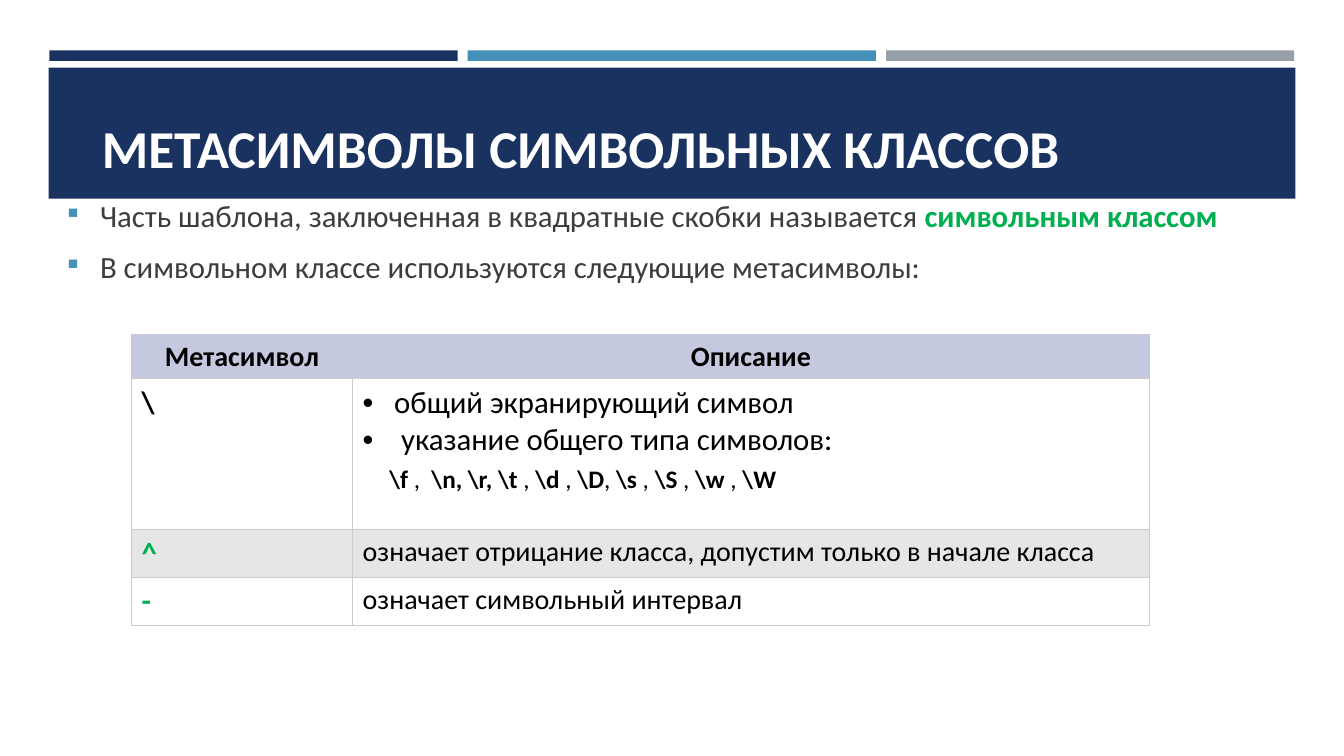
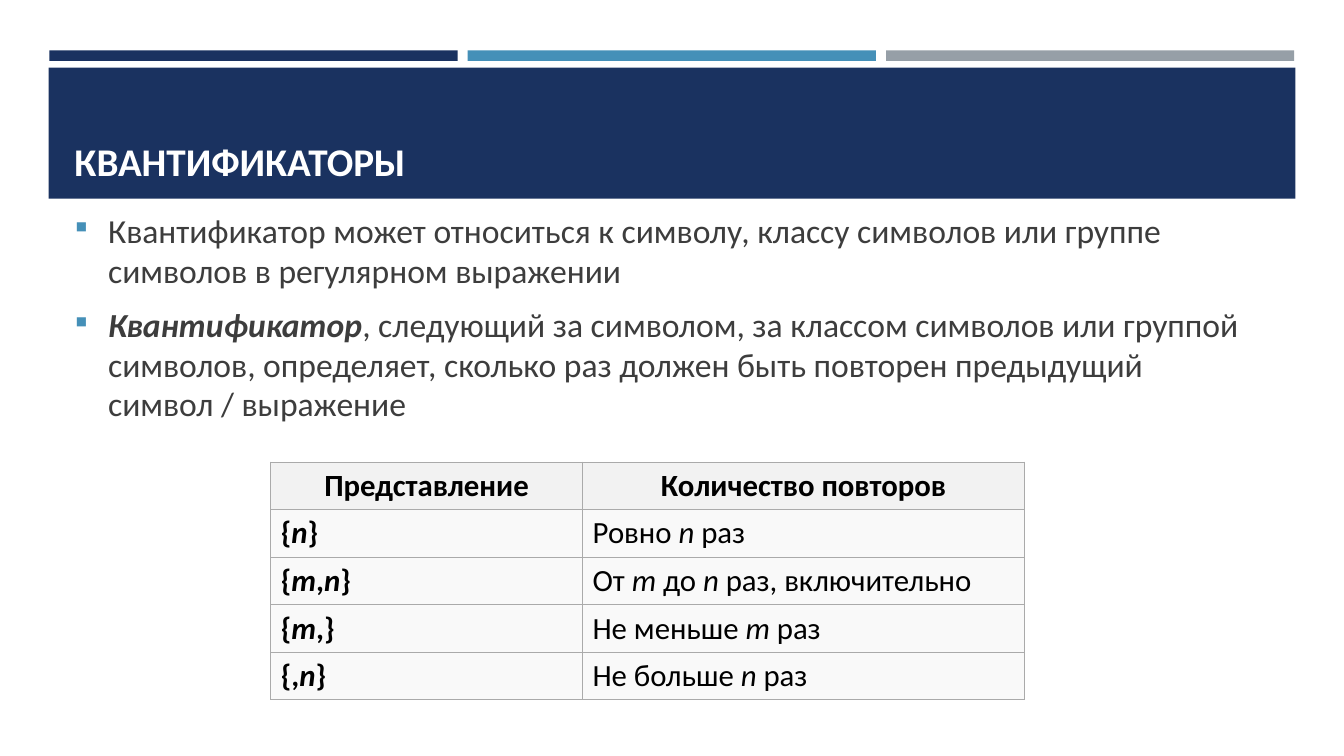
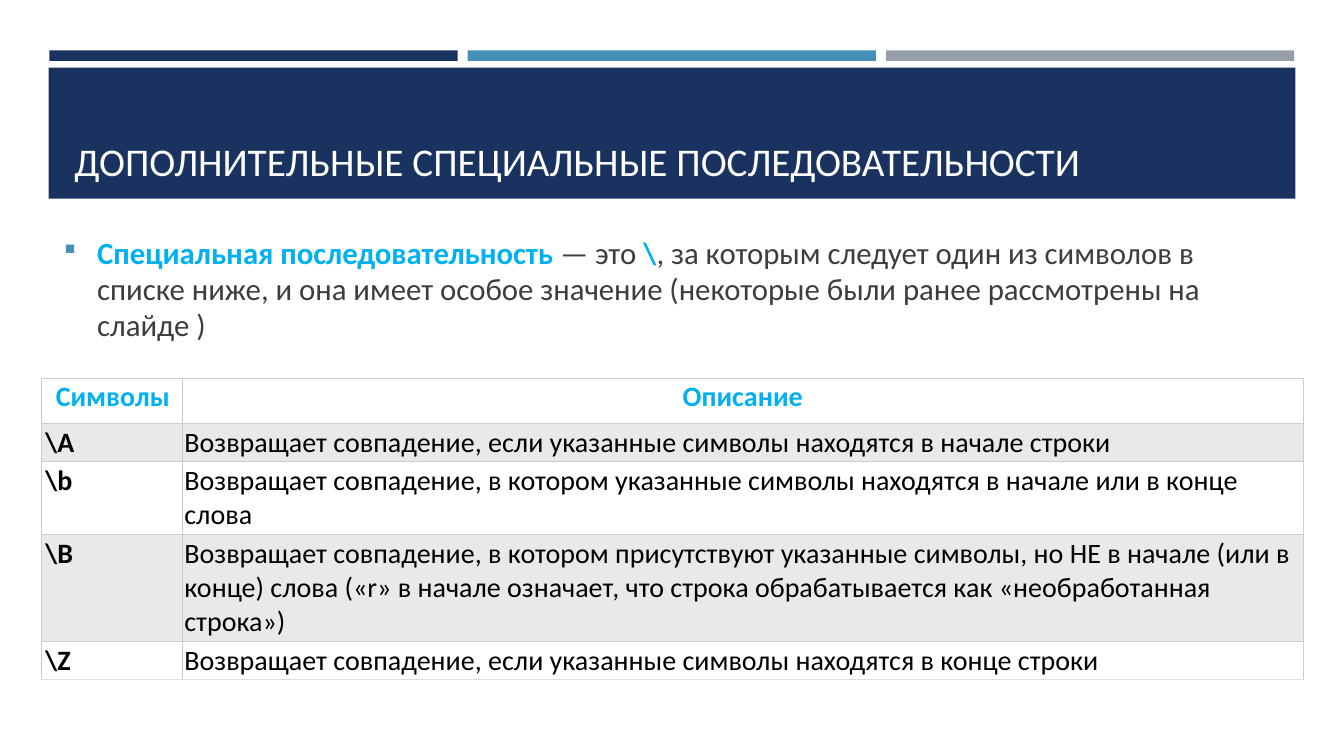
from lxml import etree
from pptx import Presentation
from pptx.dml.color import RGBColor
from pptx.enum import shapes, text
from pptx.oxml import ns
from pptx.util import Pt

NAVY, BLUE, GRAY = "1A3260", "4590B8", "969FA7"
BLACK, WHITE, INK = "000000", "FFFFFF", "3D3D3D"
GREEN, CYAN = "00B050", "00B0F0"
SQUARE, DOT = ("Wingdings", "§", 24, 92, BLUE), ("Arial", "•", 22.5, 100, BLACK)


def rgb(c):
    return RGBColor.from_string(c)


def write(p, t, accent={}, bullet=None, **fmt):
    for n, part in enumerate(t.split("|")):
        if not part:
            continue
        f = {**fmt, **accent} if n % 2 else fmt
        r = p.add_run()
        r.text = part
        r.font.name = "Calibri"
        r.font.size = Pt(f["size"])
        r.font.color.rgb = rgb(f.get("color", BLACK))
        r.font.bold = f.get("bold", False)
        r.font.italic = f.get("italic", False)
    if bullet:
        face, char, indent, scale, color = bullet
        pPr = p._p.get_or_add_pPr()
        pPr.set("marL", str(Pt(indent)))
        pPr.set("indent", str(-Pt(indent)))
        clr = etree.SubElement(pPr, ns.qn("a:buClr"))
        etree.SubElement(clr, ns.qn("a:srgbClr"), val=color)
        etree.SubElement(pPr, ns.qn("a:buSzPct"), val=str(scale * 1000))
        etree.SubElement(pPr, ns.qn("a:buFont"), typeface=face)
        etree.SubElement(pPr, ns.qn("a:buChar"), char=char)


pages = [
    dict(
        title="МЕТАСИМВОЛЫ СИМВОЛЬНЫХ КЛАССОВ", title_size=38, title_bold=True,
        title_at=(65.5, 59, 783.4, 72.7),
        body=["Часть шаблона, заключенная в квадратные скобки называется |символьным классом|",
              "В символьном классе используются следующие метасимволы:"],
        body_size=22, body_at=(40.3, 142.6, 892, 61.2), accent=dict(color=GREEN, bold=True),
        at=(94, 238.8), cols=(157.9, 569), rows=(31.5, 108, 34, 34),
        head=("Метасимвол", "Описание"), head_size=20, head_color=BLACK, head_fill="C4C9DF",
        head_anchor=text.MSO_ANCHOR.MIDDLE, head_line="C4C9DF",
        cells=[("\\", ""),
               ("^", "означает отрицание класса, допустим только в начале класса"),
               ("-", "означает символьный интервал")],
        key_size=22, key_colors=(BLACK, GREEN, GREEN), cell_size=20,
        fills=(WHITE, "E6E6E6"), line="CCCCCC", line_width=0.75, last_line="CCCCCC",
        insets=None),
    dict(
        title="КВАНТИФИКАТОРЫ", title_size=28, title_bold=True,
        title_at=(46, 55.5, 868.3, 80),
        body=["Квантификатор может относиться к символу, классу символов или группе символов "
              "в регулярном выражении",
              "|Квантификатор|, следующий за символом, за классом символов или группой символов, "
              "определяет, сколько раз должен быть повторен предыдущий символ / выражение"],
        body_size=24, body_at=(46, 145.4, 868.3, 164.2), accent=dict(bold=True, italic=True),
        at=(193.4, 330), cols=(222.7, 315.8), rows=(34,) * 5,
        head=("Представление", "Количество повторов"), head_size=22, head_color=BLACK,
        head_fill="F2F2F2", head_anchor=text.MSO_ANCHOR.MIDDLE, head_line="AAAAAA",
        cells=[("{|n|}", "Ровно |n| раз"),
               ("{|m|,|n|}", "От |m| до |n| раз, включительно"),
               ("{|m|,}", "Не меньше |m| раз"),
               ("{,|n|}", "Не больше |n| раз")],
        key_size=22, key_colors=(BLACK,) * 4, cell_size=22,
        fills=("F9F9F9", "F9F9F9"), line="AAAAAA", line_width=0.75, last_line="AAAAAA",
        insets=None),
    dict(
        title="ДОПОЛНИТЕЛЬНЫЕ СПЕЦИАЛЬНЫЕ ПОСЛЕДОВАТЕЛЬНОСТИ", title_size=28, title_bold=False,
        title_at=(46, 55.5, 868.3, 80),
        body=["|Специальная последовательность |— это |\\|, за которым следует один из символов "
              "в списке ниже, и она имеет особое значение (некоторые были ранее рассмотрены "
              "на слайде )"],
        body_size=22, body_at=(38.2, 167, 868.3, 80), accent=dict(color=CYAN, bold=True),
        at=(29.5, 270), cols=(100.8, 800.6), rows=(32.4, 27.4, 52, 76.4, 27.4),
        head=("Символы", "Описание"), head_size=20, head_color=CYAN, head_fill=WHITE,
        head_anchor=text.MSO_ANCHOR.TOP, head_line="CCCCCC",
        cells=[("\\A", "Возвращает совпадение, если указанные символы находятся в начале строки"),
               ("\\b", "Возвращает совпадение, в котором указанные символы находятся в начале "
                       "или в конце слова"),
               ("\\B", "Возвращает совпадение, в котором присутствуют указанные символы, но НЕ "
                       "в начале (или в конце) слова («r» в начале означает, что строка "
                       "обрабатывается как «необработанная строка»)"),
               ("\\Z", "Возвращает совпадение, если указанные символы находятся в конце строки")],
        key_size=20, key_colors=(BLACK,) * 4, cell_size=20,
        fills=("E7E9EB", WHITE), line="CCCCCC", line_width=0.6, last_line="DDDDDD",
        insets=(2.88, 1.44)),
]

prs = Presentation()
prs.slide_width, prs.slide_height = Pt(960), Pt(540)
layout = prs.slide_layouts[1]
tables = []

for page in pages:
    s = prs.slides.add_slide(layout)
    if not tables:
        bands = [(35.3 + 298.8 * n, 36, 291.6, 7.5, c) for n, c in enumerate((NAVY, BLUE, GRAY))]
        bands.append((34.7, 48.4, 890.6, 93.6, NAVY))
        for n, (x, y, w, h, c) in enumerate(bands):
            sp = s.shapes.add_shape(shapes.MSO_SHAPE.RECTANGLE, Pt(x), Pt(y), Pt(w), Pt(h))
            sp.shadow.inherit = False
            sp.fill.solid()
            sp.fill.fore_color.rgb = rgb(c)
            sp.line.fill.background()
            layout.shapes._spTree.insert(2 + n, sp._element)

    title, body = s.placeholders
    for sp, at, anchor in ((title, page["title_at"], text.MSO_ANCHOR.BOTTOM),
                           (body, page["body_at"], text.MSO_ANCHOR.MIDDLE)):
        sp.left, sp.top, sp.width, sp.height = map(Pt, at)
        tf = sp.text_frame
        tf.word_wrap = True
        tf.auto_size = text.MSO_AUTO_SIZE.NONE
        tf.vertical_anchor = anchor
    p = title.text_frame.paragraphs[0]
    p.alignment = text.PP_ALIGN.LEFT
    write(p, page["title"], size=page["title_size"], color=WHITE, bold=page["title_bold"])

    tf = body.text_frame
    for n, t in enumerate(page["body"]):
        p = tf.add_paragraph() if n else tf.paragraphs[0]
        write(p, t, page["accent"], SQUARE, size=page["body_size"], color=INK)
        p.line_spacing = 0.98
        p.space_before = Pt(page["body_size"] * 0.2)
        p.space_after = Pt(6)

    cols, rows = page["cols"], page["rows"]
    tb = s.shapes.add_table(len(rows), len(cols), *map(Pt, page["at"]),
                            Pt(sum(cols)), Pt(sum(rows))).table
    tables.append(tb)
    for col, w in zip(tb.columns, cols):
        col.width = Pt(w)
    for row, h in zip(tb.rows, rows):
        row.height = Pt(h)
    for i, texts in enumerate([page["head"]] + page["cells"]):
        for j, t in enumerate(texts):
            cell = tb.cell(i, j)
            p = cell.text_frame.paragraphs[0]
            if i == 0:
                p.alignment = text.PP_ALIGN.CENTER
                cell.vertical_anchor = page["head_anchor"]
                write(p, t, size=page["head_size"], color=page["head_color"], bold=True)
            elif j == 0:
                write(p, t, dict(italic=True), size=page["key_size"],
                      color=page["key_colors"][i - 1], bold=True)
            else:
                write(p, t, dict(italic=True), size=page["cell_size"])
            if page["insets"]:
                cell.margin_left = Pt(page["insets"][j])
                cell.margin_right = cell.margin_top = cell.margin_bottom = Pt(1.44)
            side = page["line"] if i else page["head_line"]
            bottom = page["last_line"] if i == len(rows) - 1 else page["line"]
            tcPr = cell._tc.get_or_add_tcPr()
            for tag, c in (("lnL", side), ("lnR", side), ("lnT", side), ("lnB", bottom)):
                ln = etree.SubElement(tcPr, ns.qn("a:" + tag), w=str(Pt(page["line_width"])))
                fill = etree.SubElement(ln, ns.qn("a:solidFill"))
                etree.SubElement(fill, ns.qn("a:srgbClr"), val=c)
            cell.fill.solid()
            cell.fill.fore_color.rgb = rgb(page["fills"][(i - 1) % 2] if i else page["head_fill"])

tf = tables[0].cell(1, 1).text_frame
write(tf.paragraphs[0], "общий экранирующий символ", bullet=DOT, size=22)
write(tf.add_paragraph(), " указание общего типа символов:", bullet=DOT, size=22)
p = tf.add_paragraph()
p.space_before = Pt(4)
p._p.get_or_add_pPr().set("marL", str(Pt(19)))
write(p, "|\\f |,  |\\n, \\r, \\t| , |\\d| , |\\D|, |\\s| , |\\S| , |\\w| , |\\W|",
      dict(bold=True), size=18)

prs.save("out.pptx")
